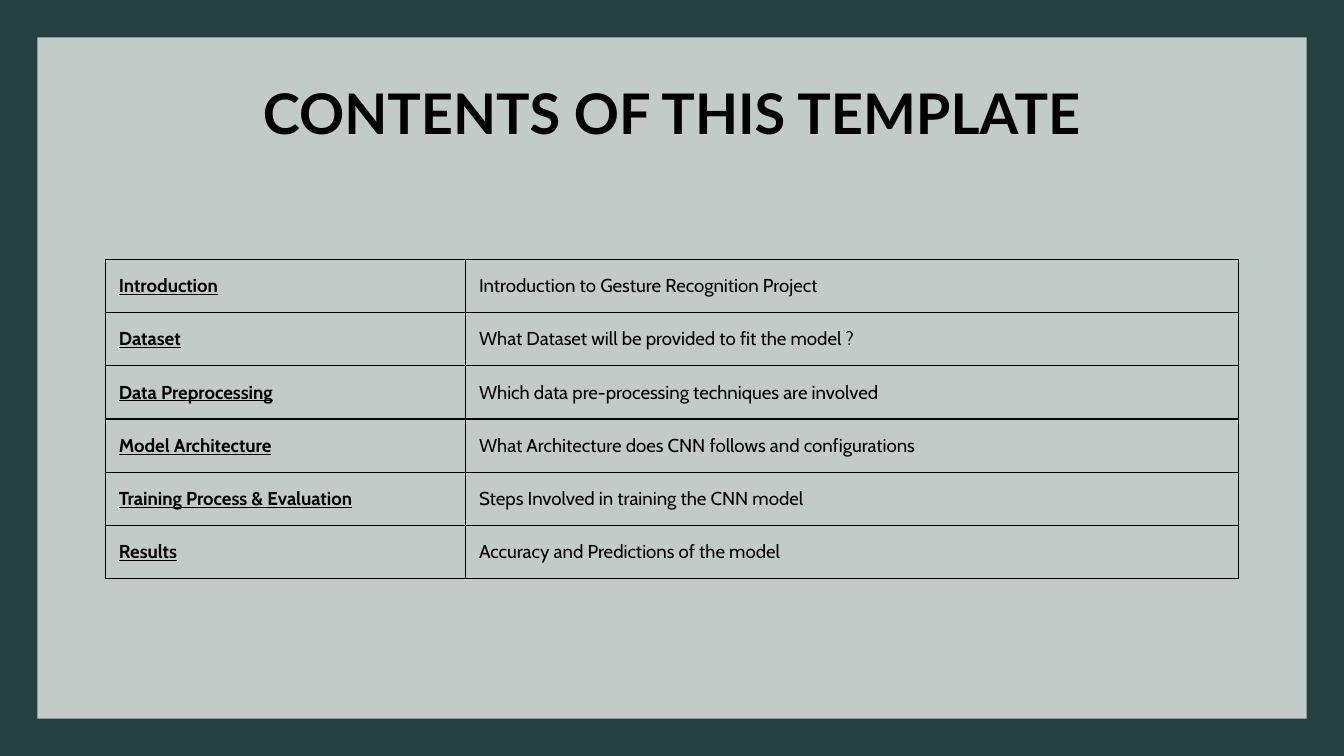
from lxml import etree
from pptx import Presentation
from pptx.dml.color import RGBColor
from pptx.enum import shapes, text
from pptx.oxml.ns import qn
from pptx.util import Pt

DARK_GREEN = RGBColor(0x24, 0x41, 0x3F)
PALE_GREEN = RGBColor(0xDD, 0xE4, 0xE0)
BLACK = RGBColor(0, 0, 0)

SLIDE_WIDTH, SLIDE_HEIGHT = Pt(720), Pt(405)
MARGIN = Pt(20)
CONTENT_LEFT, CONTENT_WIDTH = Pt(56.5), Pt(607)
TOPIC_WIDTH = Pt(193)
INSET = Pt(7.2)

TOPICS = [
    ("Introduction", "Introduction to Gesture Recognition Project"),
    ("Dataset", "What Dataset will be provided to fit the model ?"),
    ("Data Preprocessing", "Which data pre-processing techniques are involved"),
    ("Model Architecture", "What Architecture does CNN follows and configurations"),
    ("Training Process & Evaluation", "Steps Involved in training the CNN model"),
    ("Results", "Accuracy and Predictions of the model"),
]


def format_font(font, name, size, bold=False, underline=False):
    font.name = name
    font.size = Pt(size)
    font.bold = bold
    font.underline = underline
    font.color.rgb = BLACK


def add_panel(slide, left, top, width, height):
    """Add the translucent panel that leaves the background as a frame."""
    panel = slide.shapes.add_shape(
        shapes.MSO_SHAPE.RECTANGLE, left, top, width, height)
    panel.shadow.inherit = False
    panel.line.fill.background()
    panel.fill.solid()
    panel.fill.fore_color.rgb = PALE_GREEN
    color = panel.fill._xPr.find(qn("a:solidFill"))[0]
    etree.SubElement(color, qn("a:alpha"), val="85000")


def add_title(slide, left, top, width, height):
    title = slide.shapes.add_textbox(left, top, width, height)
    frame = title.text_frame
    frame.word_wrap = True
    frame.margin_left = frame.margin_right = INSET
    frame.margin_top = frame.margin_bottom = INSET
    frame.text = "CONTENTS OF THIS TEMPLATE"
    paragraph = frame.paragraphs[0]
    paragraph.alignment = text.PP_ALIGN.CENTER
    format_font(paragraph.runs[0].font, "Lato", 30, bold=True)


def add_borders(cell):
    properties = cell._tc.get_or_add_tcPr()
    for position, side in enumerate(("lnL", "lnR", "lnT", "lnB")):
        line = etree.Element(qn(f"a:{side}"), w=str(Pt(0.75)))
        fill = etree.SubElement(line, qn("a:solidFill"))
        etree.SubElement(fill, qn("a:srgbClr"), val=str(BLACK))
        properties.insert(position, line)


def fill_cell(cell, wording, is_topic):
    cell.fill.background()
    cell.vertical_anchor = text.MSO_ANCHOR.MIDDLE
    cell.margin_left = cell.margin_right = INSET
    cell.margin_top = cell.margin_bottom = 0
    cell.text = wording
    run = cell.text_frame.paragraphs[0].runs[0]
    format_font(run.font, "Cabin", 10, bold=is_topic, underline=is_topic)
    add_borders(cell)


def add_contents_table(slide, left, top, width, height):
    frame = slide.shapes.add_table(len(TOPICS), 2, left, top, width, height)
    table = frame.table
    table.first_row = table.horz_banding = False
    table.columns[0].width = TOPIC_WIDTH
    table.columns[1].width = width - TOPIC_WIDTH
    for row, wordings in zip(table.rows, TOPICS):
        for column, wording in enumerate(wordings):
            fill_cell(row.cells[column], wording, is_topic=column == 0)


def main():
    presentation = Presentation()
    presentation.slide_width = SLIDE_WIDTH
    presentation.slide_height = SLIDE_HEIGHT
    slide = presentation.slides.add_slide(presentation.slide_layouts[6])
    slide.background.fill.solid()
    slide.background.fill.fore_color.rgb = DARK_GREEN

    add_panel(slide, MARGIN, MARGIN,
              SLIDE_WIDTH - 2 * MARGIN, SLIDE_HEIGHT - 2 * MARGIN)
    add_title(slide, CONTENT_LEFT, Pt(35), CONTENT_WIDTH, Pt(45))
    add_contents_table(slide, CONTENT_LEFT, Pt(139), CONTENT_WIDTH, Pt(171))
    presentation.save("out.pptx")


if __name__ == "__main__":
    main()
